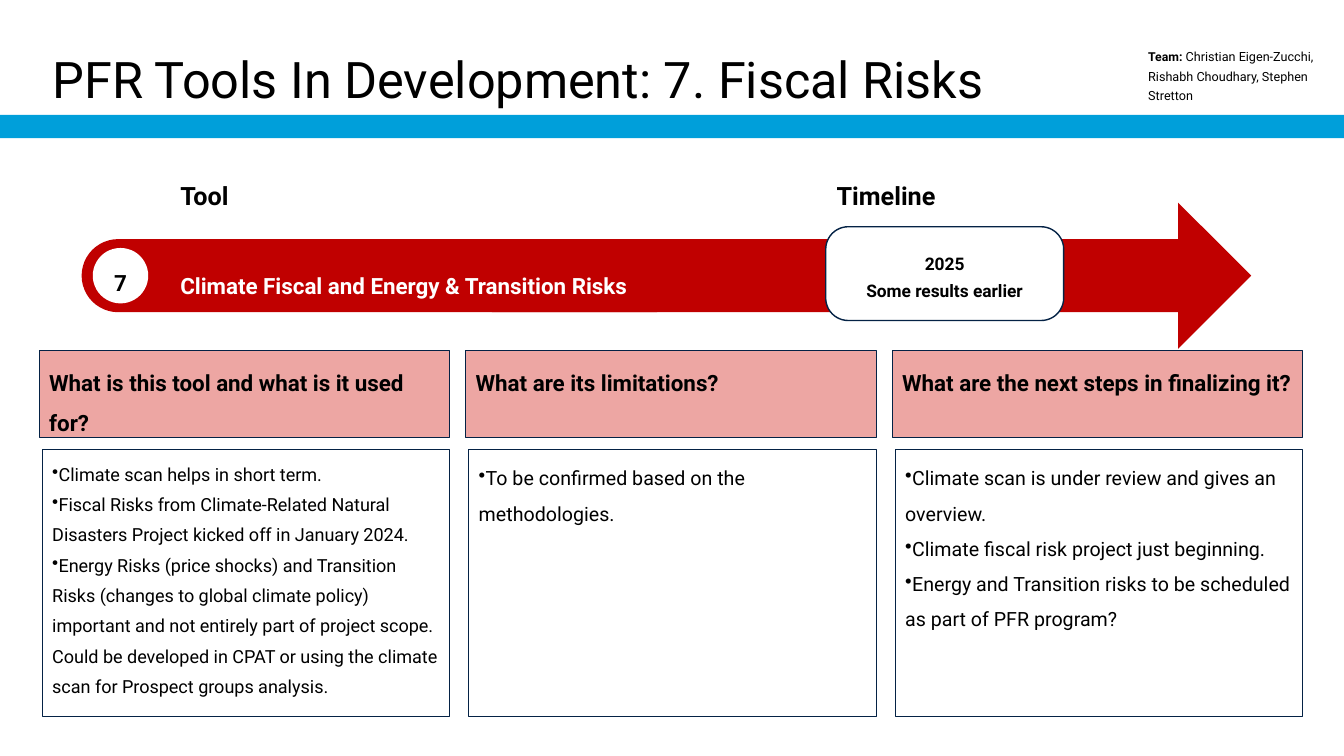
from lxml.etree import SubElement
from pptx import Presentation
from pptx.dml.color import RGBColor
from pptx.enum.shapes import MSO_SHAPE as Shape
from pptx.enum.text import MSO_ANCHOR as Anchor, MSO_AUTO_SIZE as AutoSize, PP_ALIGN as Align
from pptx.oxml.ns import qn
from pptx.util import Inches, Pt

WIDTH, HEIGHT = 13.33, 7.5
FONT = "Roboto"
BLACK = RGBColor(0x00, 0x00, 0x00)
WHITE = RGBColor(0xFF, 0xFF, 0xFF)
BLUE = RGBColor(0x00, 0x9F, 0xDA)
RED = RGBColor(0xC0, 0x00, 0x00)
PINK = RGBColor(0xED, 0xA6, 0xA3)
NAVY = RGBColor(0x04, 0x22, 0x45)

COLUMN_PITCH = 4.23
BODY_INSET = 0.03
HEADER_HEIGHT = 0.86
BODY_TOP, BODY_HEIGHT = 0.98, 2.65

COLUMNS = [
    ("What is this tool and what is it used for?", 12.9, 1.4, [
        "Climate scan helps in short term.",
        "Fiscal Risks from Climate-Related Natural Disasters Project kicked off in January 2024.",
        "Energy Risks (price shocks) and Transition Risks (changes to global climate policy) "
        "important and not entirely part of project scope.  Could be developed in CPAT or "
        "using the climate scan for Prospect groups analysis.",
    ]),
    ("What are its limitations?", 14, 1.5, [
        "To be confirmed based on the methodologies.",
    ]),
    ("What are the next steps in finalizing it?", 14, 1.5, [
        "Climate scan is under review and gives an overview.",
        "Climate fiscal risk project just beginning.",
        "Energy and Transition risks to be scheduled as part of PFR program?",
    ]),
]


def add_panel(slide, kind, box, fill=None, line=None, line_width=0.75):
    shape = slide.shapes.add_shape(kind, *map(Inches, box))
    shape.shadow.inherit = False
    if fill is None:
        shape.fill.background()
    else:
        shape.fill.solid()
        shape.fill.fore_color.rgb = fill
    if line is None:
        shape.line.fill.background()
    else:
        shape.line.color.rgb = line
        shape.line.width = Pt(line_width)
    return shape


def write(shape, paragraphs, spacing=1.5, align=Align.LEFT, anchor=Anchor.TOP, bullet=False):
    """Fill a shape with paragraphs, each a list of (text, size, bold, colour) runs."""
    frame = shape.text_frame
    frame.word_wrap = True
    frame.auto_size = AutoSize.NONE
    frame.vertical_anchor = anchor
    for index, runs in enumerate(paragraphs):
        paragraph = frame.add_paragraph() if index else frame.paragraphs[0]
        paragraph.alignment = align
        paragraph.line_spacing = spacing
        if bullet:
            properties = paragraph._p.get_or_add_pPr()
            properties.set("marL", "0")
            properties.set("indent", str(-Inches(0.25)))
            SubElement(properties, qn("a:buChar")).set("char", "•")
        for text, size, bold, colour in runs:
            run = paragraph.add_run()
            run.text = text
            run.font.name = FONT
            run.font.size = Pt(size)
            run.font.bold = bold
            run.font.color.rgb = colour


def add_label(slide, box, runs, spacing=1.5):
    write(slide.shapes.add_textbox(*map(Inches, box)), [runs], spacing)


def add_heading(slide, left, top, width):
    """Title and team credit above a full-width bar."""
    add_panel(slide, Shape.RECTANGLE, (left, top + 1.14, width, 0.23), BLUE)
    title = slide.shapes.title
    title.left, title.top = Inches(left + 0.42), Inches(top + 0.52)
    title.width, title.height = Inches(10.8), Inches(0.63)
    write(title, [[("PFR Tools In Development: 7. Fiscal Risks", 36, False, BLACK)]],
          spacing=0.8, anchor=Anchor.MIDDLE)
    add_label(slide, (left + width - 2.04, top + 0.39, 2.04, 0.75), [
        ("Team: ", 8.8, True, BLACK),
        ("Christian Eigen-Zucchi, Rishabh Choudhary, Stephen Stretton", 9, False, BLACK),
    ], spacing=1.3)


def add_timeline(slide, left, top, width, height):
    """Arrow banner with its number, name and date; the bar is half as high as the arrowhead."""
    bar_top, bar_height = top + height / 4, height / 2
    pill = add_panel(slide, Shape.ROUNDED_RECTANGLE, (left, bar_top, 6.04, bar_height), RED)
    pill.adjustments[0] = 0.5
    arrow_left = left + 4.07
    add_panel(slide, Shape.RIGHT_ARROW, (arrow_left, top, left + width - arrow_left, height), RED)

    date = add_panel(slide, Shape.ROUNDED_RECTANGLE,
                     (left + 7.38, top + 0.24, 2.36, 0.93), WHITE, NAVY, 1)
    date.adjustments[0] = 0.24
    write(date, [[(text, 12.4, True, BLACK)] for text in ("2025", "Some results earlier")],
          1.3, Align.CENTER, Anchor.MIDDLE)

    diameter = 0.55
    gap = (bar_height - diameter) / 2
    number = add_panel(slide, Shape.OVAL,
                       (left + 0.11, bar_top + gap, diameter, diameter), WHITE)
    frame = number.text_frame
    frame.margin_left = frame.margin_right = frame.margin_top = frame.margin_bottom = 0
    write(number, [[("7", 16, True, BLACK)]], align=Align.CENTER, anchor=Anchor.MIDDLE)

    for text, offset in (("Tool", 0.88), ("Timeline", 7.39)):
        add_label(slide, (left + offset, top - 0.42, 2.21, 0.6), [(text, 18, True, BLACK)])
    add_label(slide, (left + 0.88, top + 0.51, 6.14, 0.4),
              [("Climate Fiscal and Energy & Transition Risks", 16, True, WHITE)])


def add_column(slide, left, top, width, heading, size, spacing, points):
    header = add_panel(slide, Shape.RECTANGLE, (left, top, width, HEADER_HEIGHT), PINK, NAVY)
    write(header, [[(heading, 16, True, BLACK)]])
    body = add_panel(slide, Shape.RECTANGLE,
                     (left + BODY_INSET, top + BODY_TOP, width - BODY_INSET, BODY_HEIGHT),
                     line=NAVY)
    write(body, [[(point, size, False, BLACK)] for point in points], spacing, bullet=True)


def main():
    presentation = Presentation()
    presentation.slide_width, presentation.slide_height = Inches(WIDTH), Inches(HEIGHT)
    slide = presentation.slides.add_slide(presentation.slide_layouts[5])
    add_heading(slide, 0, 0, WIDTH)
    add_timeline(slide, 0.81, 2.01, 11.6, 1.45)
    for index, column in enumerate(COLUMNS):
        add_column(slide, 0.39 + index * COLUMN_PITCH, 3.48, 4.07, *column)
    presentation.save("out.pptx")


if __name__ == "__main__":
    main()
